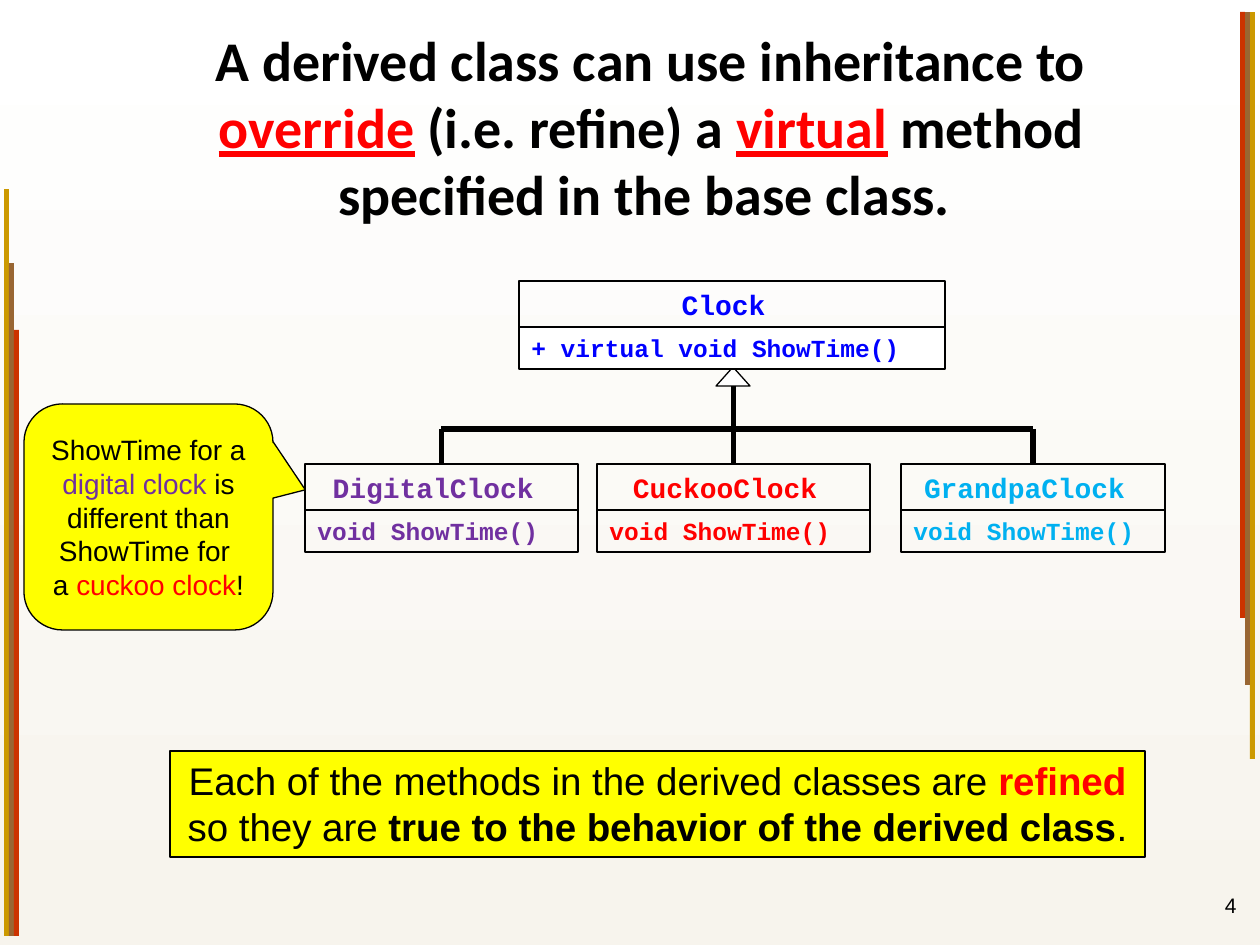
from pptx import Presentation
from pptx.dml.color import RGBColor
from pptx.enum.shapes import MSO_CONNECTOR, MSO_SHAPE
from pptx.enum.text import MSO_ANCHOR, MSO_AUTO_SIZE, PP_ALIGN
from pptx.oxml.ns import qn
from pptx.util import Emu, Pt

RECTANGLE = MSO_SHAPE.RECTANGLE
TRIANGLE = MSO_SHAPE.ISOSCELES_TRIANGLE
CALLOUT = MSO_SHAPE.ROUNDED_RECTANGULAR_CALLOUT
STRAIGHT = MSO_CONNECTOR.STRAIGHT
TOP, MIDDLE, BOTTOM = MSO_ANCHOR.TOP, MSO_ANCHOR.MIDDLE, MSO_ANCHOR.BOTTOM
LEFT, CENTER, RIGHT = PP_ALIGN.LEFT, PP_ALIGN.CENTER, PP_ALIGN.RIGHT

EMU_PER_PX = 914400 / 126
BLACK, WHITE, RED, YELLOW = "000000", "FFFFFF", "FF0000", "FFFF00"
BLUE, PURPLE, CYAN = "0000FF", "7030A0", "00B0F0"
BAR_COLOURS = ["CC9900", "996633", "CC3300"]
BAR_HEIGHTS = [747, 673, 606]
BAR_WIDTH = 5
NAME_HEIGHT, METHOD_HEIGHT = 46, 42
BUS_Y = 429


def px(value):
    return Emu(round(value * EMU_PER_PX))


def colour(value):
    return RGBColor.from_string(value)


def write(shape, runs, font, size, align=CENTER, anchor=TOP, wrap=True):
    frame = shape.text_frame
    frame.auto_size = MSO_AUTO_SIZE.NONE
    frame.word_wrap = wrap
    frame.vertical_anchor = anchor
    paragraph = frame.paragraphs[0]
    paragraph.text = "".join(text.replace("\n", "\v") for text, *_ in runs) if len(runs) == 1 else ""
    paragraph.alignment = align
    for index, (text, fill, bold, underline) in enumerate(runs):
        run = paragraph.runs[0] if len(runs) == 1 else paragraph.add_run()
        run.text = text.rstrip("\n")
        run.font.name = font
        run.font.size = Pt(size)
        run.font.bold = bold
        run.font.underline = underline
        run.font.color.rgb = colour(fill)
        if text.endswith("\n"):
            paragraph.add_line_break()


def add_box(slide, kind, box, fill=None, line=BLACK):
    shape = slide.shapes.add_shape(kind, *map(px, box))
    shape.shadow.inherit = False
    if fill:
        shape.fill.solid()
        shape.fill.fore_color.rgb = colour(fill)
    else:
        shape.fill.background()
    if line:
        shape.line.color.rgb = colour(line)
        shape.line.width = Pt(0.75)
    else:
        shape.line.fill.background()
    return shape


def add_line(slide, start, end, target=None):
    connector = slide.shapes.add_connector(STRAIGHT, *start, *end)
    connector.line.color.rgb = colour(BLACK)
    connector.line.width = Pt(3)
    properties = connector._element.spPr
    properties.append(properties.makeelement(qn("a:effectLst"), {}))
    if target is not None:
        connector.end_connect(target, 0)


def add_class(slide, left, top, width, name, method, ink, method_fill=None):
    name_box = add_box(slide, RECTANGLE, (left, top, width, NAME_HEIGHT))
    write(name_box, [(name + " ", ink, True, False)], "Courier New", 16)
    method_box = add_box(slide, RECTANGLE,
                         (left, top + NAME_HEIGHT, width, METHOD_HEIGHT), method_fill)
    write(method_box, [(method, ink, True, False)], "Courier New", 14, LEFT)
    return name_box


def top_center(shape):
    return shape.left + shape.width // 2


def add_background(slide):
    fill = slide.background.fill
    fill.gradient()
    fill.gradient_angle = 270
    for stop, position, value in zip(fill.gradient_stops, (0, 1), (WHITE, "F7F4ED")):
        stop.position = position
        stop.color.rgb = colour(value)


def add_side_bars(slide):
    for index, (fill, height) in enumerate(zip(BAR_COLOURS, BAR_HEIGHTS)):
        offset = index * BAR_WIDTH
        add_box(slide, RECTANGLE, (4 + offset, 936 - height, BAR_WIDTH, height), fill, None)
        add_box(slide, RECTANGLE, (1250 - offset, 12, BAR_WIDTH, height), fill, None)


def add_title(slide):
    title = slide.shapes.title
    title.left, title.top, title.width, title.height = map(px, (131, 47, 1040, 158))
    write(title, [
        ("A derived class can use inheritance to ", BLACK, True, False),
        ("override", RED, True, True),
        (" (i.e. refine) a ", BLACK, True, False),
        ("virtual", RED, True, True),
        (" method specified in the base class. ", BLACK, True, False),
    ], "Calibri", 32, anchor=MIDDLE)


def add_diagram(slide):
    arrowhead = add_box(slide, TRIANGLE, (716, 367, 34, 19), WHITE)
    add_class(slide, 519, 281, 426, "Clock", "+ virtual void ShowTime()", BLUE, WHITE)
    derived = [
        add_class(slide, left, 464, width, name, "void ShowTime()", ink)
        for left, width, name, ink in [
            (305, 273, "DigitalClock", PURPLE),
            (597, 273, "CuckooClock", RED),
            (901, 264, "GrandpaClock", CYAN),
        ]
    ]
    digital, cuckoo, grandpa = derived
    bus = px(BUS_Y)
    add_line(slide, (top_center(digital), bus), (top_center(grandpa), bus))
    starts = [bus, arrowhead.top + arrowhead.height, bus]
    for shape, start in zip(derived, starts):
        center = top_center(shape)
        add_line(slide, (center, start), (center, shape.top), shape)


def add_callout(slide):
    callout = add_box(slide, CALLOUT, (24, 404, 249, 226), YELLOW)
    for index, value in enumerate((0.63, -0.12, 0.17)):
        callout.adjustments[index] = value
    write(callout, [
        ("ShowTime for a ", BLACK, False, False),
        ("digital clock ", PURPLE, False, False),
        ("is different than ShowTime for \n", BLACK, False, False),
        ("a ", BLACK, False, False),
        ("cuckoo clock", RED, False, False),
        ("!", BLACK, False, False),
    ], "Arial", 16, anchor=MIDDLE)


def add_summary(slide):
    summary = add_box(slide, RECTANGLE, (170, 751, 975, 106), YELLOW)
    write(summary, [
        ("Each of the methods in the derived classes are ", BLACK, False, False),
        ("refined\n", RED, True, False),
        ("so they are ", BLACK, False, False),
        ("true to the behavior of the derived class", BLACK, True, False),
        (".", BLACK, False, False),
    ], "Arial", 22, wrap=False)


def add_slide_number(slide):
    number = slide.shapes.add_textbox(*map(px, (1165, 882, 84, 42)))
    write(number, [("4", BLACK, False, False)], "Arial", 12, RIGHT, BOTTOM)


def main():
    presentation = Presentation()
    presentation.slide_width, presentation.slide_height = px(1260), px(945)
    slide = presentation.slides.add_slide(presentation.slide_layouts[5])
    add_background(slide)
    add_side_bars(slide)
    add_title(slide)
    add_slide_number(slide)
    add_summary(slide)
    add_diagram(slide)
    add_callout(slide)
    presentation.save("out.pptx")


if __name__ == "__main__":
    main()
